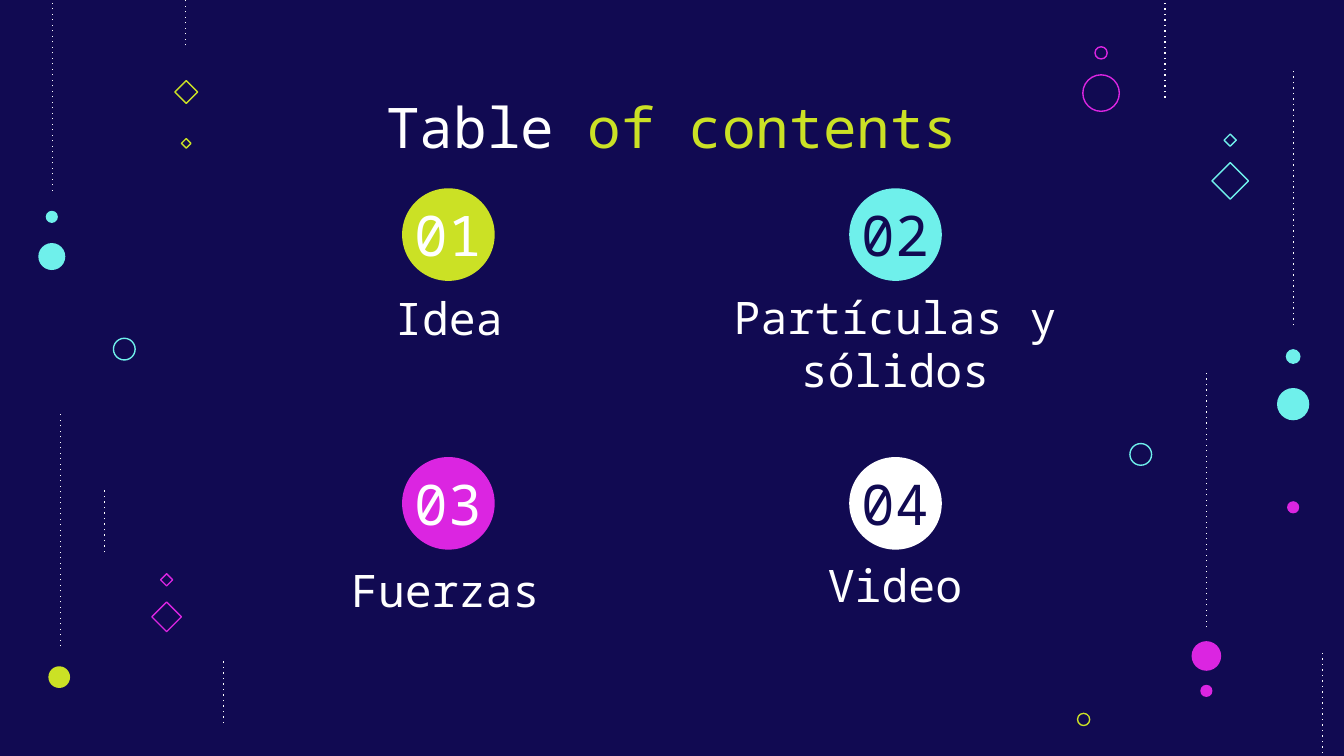
from dataclasses import dataclass

from lxml import etree
from pptx import Presentation
from pptx import util as u
from pptx.dml.color import RGBColor
from pptx.enum import dml, shapes, text
from pptx.oxml.ns import qn


@dataclass(frozen=True)
class Theme:
    navy: str = "110A52"
    lime: str = "CBE125"
    teal: str = "6FF0EB"
    magenta: str = "DB25E1"
    white: str = "FFFFFF"
    font: str = "Noto Sans Mono"
    title: int = 30
    caption: int = 24
    line: float = 0.75


T = Theme()
DOT, RING, DIAMOND = "dot", "ring", "diamond"


def rgb(color):
    return RGBColor.from_string(color)


def place(s, left, top, width, height):
    s.left, s.top, s.width, s.height = (u.Cm(v) for v in (left, top, width, height))


def write(s, runs, size, anchor):
    """Fill a text shape with one centred paragraph of (text, colour) runs."""
    tf = s.text_frame
    tf.word_wrap = True
    tf.auto_size = text.MSO_AUTO_SIZE.NONE
    tf.vertical_anchor = anchor
    tf.margin_left = tf.margin_right = tf.margin_top = tf.margin_bottom = u.Cm(0.25)
    p = tf.paragraphs[0]
    p.alignment = text.PP_ALIGN.CENTER
    p.space_before = u.Pt(0)
    for words, color in runs:
        r = p.add_run()
        r.text = words
        r.font.name = T.font
        r.font.size = u.Pt(size)
        r.font.bold = False
        r.font.color.rgb = rgb(color)
    return p


def add_mark(slide, kind, color, cx, cy, size):
    """Add a filled dot, or an outlined ring or diamond, around a centre."""
    preset = shapes.MSO_SHAPE.DIAMOND if kind == DIAMOND else shapes.MSO_SHAPE.OVAL
    s = slide.shapes.add_shape(preset, u.Cm(cx - size / 2), u.Cm(cy - size / 2),
                               u.Cm(size), u.Cm(size))
    s.shadow.inherit = False
    if kind == DOT:
        s.fill.solid()
        s.fill.fore_color.rgb = rgb(color)
        s.line.fill.background()
    else:
        s.fill.background()
        s.line.color.rgb = rgb(color)
        s.line.width = u.Pt(T.line)


def add_trail(slide, x, start, end):
    """Add a vertical dotted line."""
    c = slide.shapes.add_connector(shapes.MSO_CONNECTOR.STRAIGHT,
                                   u.Cm(x), u.Cm(start), u.Cm(x), u.Cm(end))
    c.line.color.rgb = rgb(T.white)
    c.line.width = u.Pt(T.line)
    c.line.dash_style = dml.MSO_LINE.ROUND_DOT
    sp_pr = c._element.spPr
    sp_pr.find(".//" + qn("a:prstDash")).set("val", "dot")
    etree.SubElement(sp_pr, qn("a:effectLst"))


def add_side(slide, left, top, marks, trails):
    """Decorate one side of the slide."""
    for x, start, end in trails:
        add_trail(slide, left + x, top + start, top + end)
    for kind, color, x, y, size in marks:
        add_mark(slide, kind, color, left + x, top + y, size)


def add_title(slide, left, top, width, height):
    s = slide.shapes.title
    place(s, left, top, width, height)
    write(s, [("Table ", T.white), ("of contents", T.lime)], T.title,
          text.MSO_ANCHOR.TOP)


def add_topic(slide, body, left, top, number, fill, ink, caption, box):
    """Add a numbered disc with its caption, whose box is relative to the disc."""
    size, width, height = 1.75, 2.87, 1.22
    mid_x, mid_y = left + size / 2, top + size / 2
    add_mark(slide, DOT, fill, mid_x, mid_y, size)
    s = slide.shapes.add_textbox(0, 0, 0, 0)
    place(s, mid_x - width / 2, mid_y - height / 2, width, height)
    write(s, [(number, ink)], T.title, text.MSO_ANCHOR.MIDDLE)

    dx, dy, w, h = box
    place(body, left + dx, top + dy, w, h)
    p = write(body, [(caption, T.white)], T.caption, text.MSO_ANCHOR.BOTTOM)
    p_pr = p._p.get_or_add_pPr()
    p_pr.set("marL", "0")
    p_pr.set("indent", "0")
    etree.SubElement(p_pr, qn("a:buNone"))


def add_topics(slide, left, top):
    """Lay the four topics out on a two by two grid."""
    topics = [
        (T.lime, T.white, "Idea", (-2.66, 1.98, 7.09, 1.22)),
        (T.teal, T.navy, "Partículas y sólidos", (-3.35, 2.13, 8.43, 2.06)),
        (T.magenta, T.white, "Fuerzas", (-3.4, 1.95, 8.43, 1.32)),
        (T.white, T.navy, "Video", (-2.69, 1.95, 7.11, 1.22)),
    ]
    bodies = [s for s in slide.placeholders if s.placeholder_format.idx > 0]
    for i, (body, (fill, ink, caption, box)) in enumerate(zip(bodies, topics)):
        row, col = divmod(i, 2)
        add_topic(slide, body, left + col * 8.45, top + row * 5.08,
                  f"{i + 1:02}", fill, ink, caption, box)


LEFT_MARKS = [
    (DOT, T.teal, 0.98, 4.1, 0.23),
    (DOT, T.teal, 0.98, 4.85, 0.51),
    (DOT, T.lime, 1.12, 12.8, 0.41),
    (RING, T.teal, 2.35, 6.6, 0.41),
    (DIAMOND, T.lime, 3.52, 1.74, 0.43),
    (DIAMOND, T.lime, 3.52, 2.71, 0.18),
    (DIAMOND, T.magenta, 3.15, 10.96, 0.23),
    (DIAMOND, T.magenta, 3.15, 11.66, 0.56),
]
LEFT_TRAILS = [(1.14, 12.22, 7.77), (0.99, 3.61, -0.84), (3.51, 0.86, -3.96),
               (4.22, 13.67, 12.45), (1.98, 10.44, 9.22)]
RIGHT_MARKS = [
    (RING, T.magenta, 0.49, 1, 0.23),
    (RING, T.magenta, 0.49, 1.76, 0.69),
    (DIAMOND, T.teal, 2.93, 2.65, 0.23),
    (DIAMOND, T.teal, 2.93, 3.42, 0.69),
    (DOT, T.teal, 4.12, 6.74, 0.28),
    (DOT, T.teal, 4.12, 7.64, 0.61),
    (DOT, T.magenta, 4.12, 9.59, 0.23),
    (RING, T.teal, 1.24, 8.59, 0.41),
    (DOT, T.magenta, 2.48, 12.4, 0.56),
    (DOT, T.magenta, 2.48, 13.06, 0.23),
    (RING, T.lime, 0.16, 13.6, 0.23),
]
RIGHT_TRAILS = [(4.12, 6.15, 1.32), (1.7, 1.85, -2.97), (2.48, 11.86, 7.04),
                (4.67, 14.86, 12.34)]


def main():
    prs = Presentation()
    prs.slide_width, prs.slide_height = u.Cm(25.4), u.Cm(14.29)
    # The comparison layout has a title and four bodies
    slide = prs.slides.add_slide(prs.slide_layouts[4])
    slide.background.fill.solid()
    slide.background.fill.fore_color.rgb = rgb(T.navy)

    add_side(slide, 0, 0, LEFT_MARKS, LEFT_TRAILS)
    add_side(slide, 20.32, 0, RIGHT_MARKS, RIGHT_TRAILS)
    add_title(slide, 5.41, 1.5, 14.58, 1.32)
    add_topics(slide, 7.6, 3.56)
    prs.save("out.pptx")


if __name__ == "__main__":
    main()
